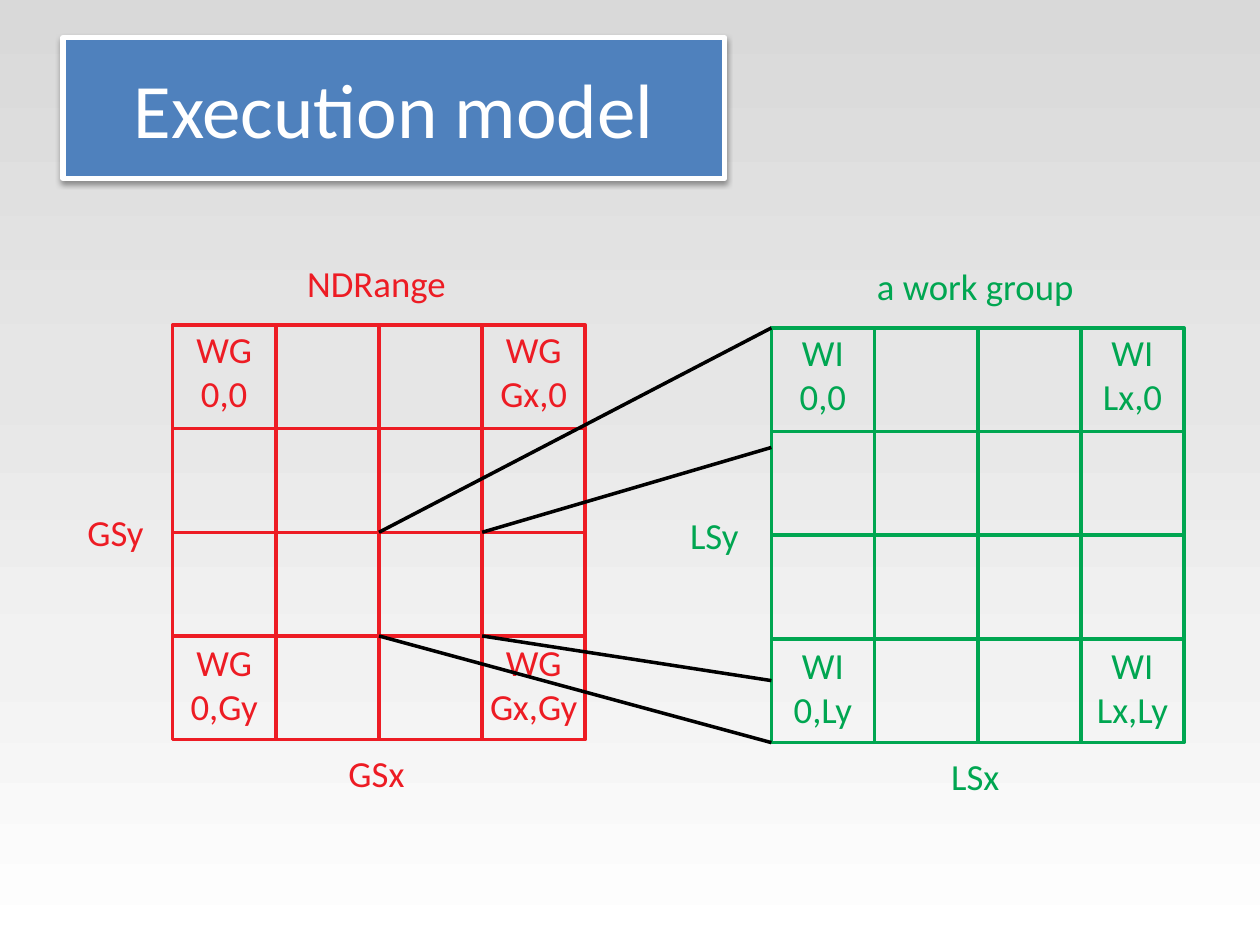
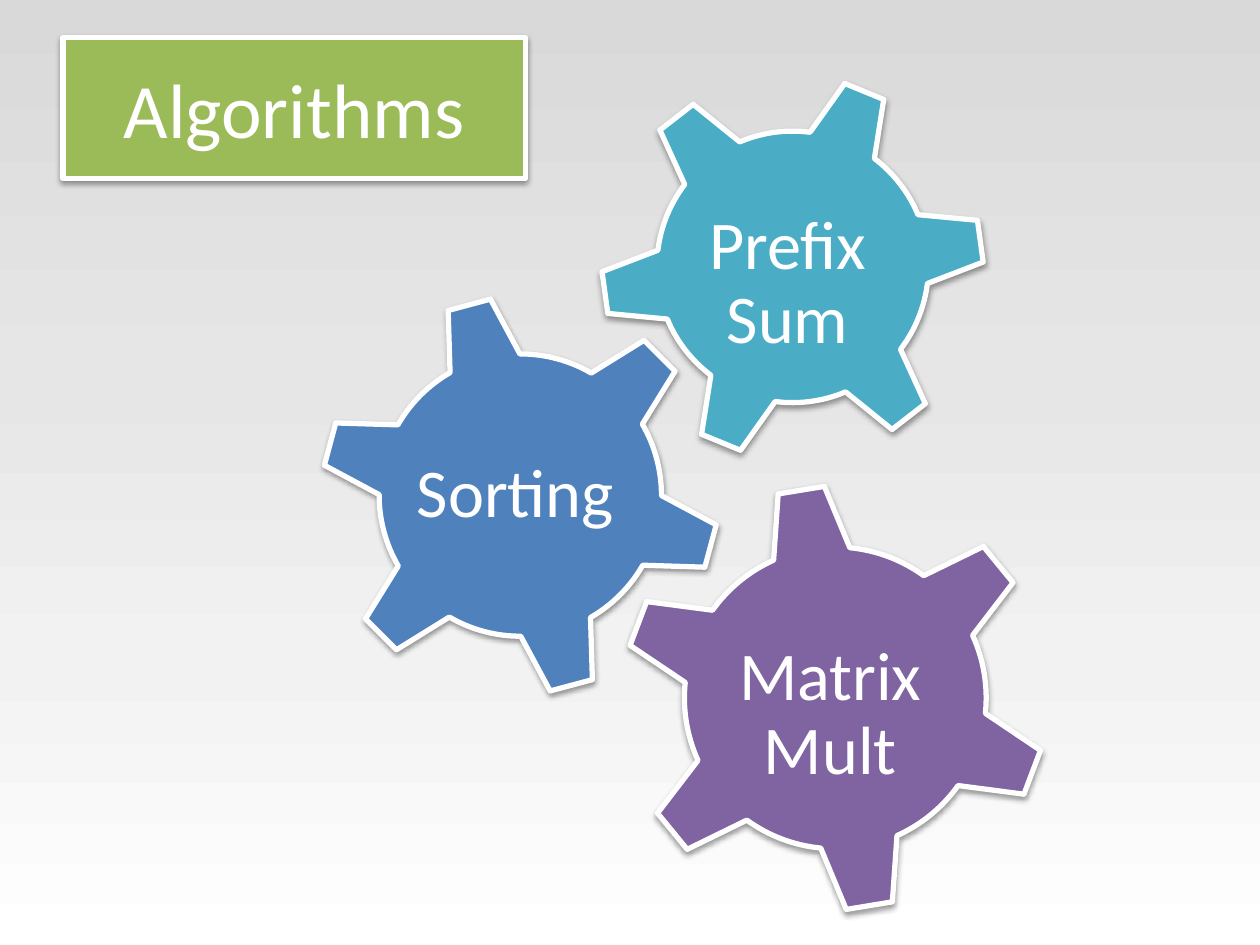
import lxml.etree
import pptx
import pptx.dml.color
import pptx.enum.shapes
import pptx.enum.text
import pptx.oxml.ns
import pptx.util

Cm, Pt = pptx.util.Cm, pptx.util.Pt
Kind = pptx.enum.shapes.MSO_SHAPE
qn = pptx.oxml.ns.qn

WHITE, BLACK = "FFFFFF", "000000"
RED, GREEN = "ED1C24", "00A651"
BLUE, LIME, TEAL, PLUM = "4F81BD", "9BBB59", "4BACC6", "8064A2"
FADE = [(0, "D9D9D9"), (40, "E6E6E6"), (70, "F2F2F2"), (100, WHITE)]

# Grids share these cell sizes, in cm
CELLS, CELL_W, CELL_H = 4, 2.08, 2.09


def tint(code):
    return pptx.dml.color.RGBColor.from_string(code)


def node(parent, tag, **attrs):
    return lxml.etree.SubElement(parent, qn(tag), attrs)


def write(shape, text, size=21, color=WHITE, lead=1.0, wrap=True, inset=0.0,
          anchor=pptx.enum.text.MSO_ANCHOR.MIDDLE):
    """Fill a shape with centred text, one paragraph per line."""
    frame = shape.text_frame
    frame.word_wrap = wrap
    frame.vertical_anchor = anchor
    frame.margin_left = frame.margin_right = Cm(inset)
    frame.margin_top = frame.margin_bottom = Cm(inset)
    for i, line in enumerate(text.split("\n")):
        para = frame.add_paragraph() if i else frame.paragraphs[0]
        para.alignment = pptx.enum.text.PP_ALIGN.CENTER
        para.line_spacing = lead
        run = para.add_run()
        run.text = line
        run.font.name = "Calibri"
        run.font.size = Pt(size)
        run.font.color.rgb = tint(color)


class Deck:
    """Holds the shared style and the slide being drawn."""

    def __init__(self):
        self.file = pptx.Presentation()
        self.file.slide_width = Cm(25.4)
        self.file.slide_height = Cm(19.05)
        self.slide = None
        self.fade()

    def fade(self):
        """Give every slide the grey gradient through the master."""
        master = self.file.slide_master
        fill = master.background.fill
        fill.gradient()
        fill.gradient_angle = 270
        stops = master.element.find(".//" + qn("a:gsLst"))
        for stop in list(stops):
            stops.remove(stop)
        for place, code in FADE:
            stop = node(stops, "a:gs", pos=str(place * 1000))
            node(stop, "a:srgbClr", val=code)

    def page(self, title, width, color):
        self.slide = self.file.slides.add_slide(self.file.slide_layouts[6])
        band = self.block(Kind.RECTANGLE, 1.27, 0.76, width, 2.84, color)
        write(band, title, size=44, inset=0.13)

    def shape(self, kind, x, y, w, h, line, weight):
        item = self.slide.shapes.add_shape(kind, Cm(x), Cm(y), Cm(w), Cm(h))
        item.shadow.inherit = False
        item.line.color.rgb = tint(line)
        item.line.width = Pt(weight)
        return item

    def block(self, kind, x, y, w, h, color):
        """Draw a filled shape with a white rim and a soft shadow below."""
        item = self.shape(kind, x, y, w, h, WHITE, 3)
        item.fill.solid()
        item.fill.fore_color.rgb = tint(color)
        effects = item.element.spPr.find(qn("a:effectLst"))
        shade = node(effects, "a:outerShdw", blurRad="40000", dist="20000",
                     dir="5400000", rotWithShape="0")
        node(node(shade, "a:srgbClr", val=BLACK), "a:alpha", val="38000")
        return item

    def line(self, x1, y1, x2, y2, color=BLACK, weight=0):
        item = self.slide.shapes.add_connector(
            pptx.enum.shapes.MSO_CONNECTOR.STRAIGHT,
            Cm(x1), Cm(y1), Cm(x2), Cm(y2))
        item.line.color.rgb = tint(color)
        item.line.width = Pt(weight)
        node(item.element.spPr, "a:effectLst")

    def label(self, text, x, y, w, h, **fmt):
        box = self.slide.shapes.add_textbox(Cm(x), Cm(y), Cm(w), Cm(h))
        write(box, text, **fmt)

    def grid(self, x, y, color, name, item, mark):
        """Draw a square grid with corner, side and top labels."""
        w, h = CELLS * CELL_W, CELLS * CELL_H
        for i in range(1, CELLS):
            across, down = x + i * CELL_W, y + i * CELL_H
            self.line(across, y, across, y + h, color, 2)
            self.line(x, down, x + w, down, color, 2)
        frame = self.shape(Kind.RECTANGLE, x, y, w, h, color, 2)
        frame.fill.background()

        fmt = dict(color=color, wrap=False,
                   anchor=pptx.enum.text.MSO_ANCHOR.TOP)
        last = CELLS - 1
        for row, down in ((0, "0"), (last, mark + "y")):
            for col, across in ((0, "0"), (last, mark + "x")):
                top = y + row * CELL_H + (0.08 if row else 0.03)
                self.label(f"{item}\n{across},{down}", x + col * CELL_W, top,
                           CELL_W, 2, **fmt)
        self.label(name, x, y - 1.3, w - 0.1, 1.1, **fmt)
        self.label(mark + "Sx", x, y + h + 0.23, w - 0.1, 1.1, **fmt)
        self.label(mark + "Sy", x - 1.95, y + 3.72, 1.6, 1.1, **fmt)

    def gear(self, text, x, y, size, turn, color, drop):
        """Draw a gear centred on x, y, its text lowered by drop."""
        item = self.block(Kind.GEAR_6, x - size / 2, y - size / 2,
                          size, size, color)
        item.rotation = turn
        w, h = size * 0.62, size * 0.56
        self.label(text, x - 0.1 - w / 2, y + drop - h / 2, w, h,
                   size=39, lead=0.9, inset=0.13)


def model(deck):
    deck.page("Execution model", 13.34, BLUE)
    left, top = 3.48, 6.55
    zoom, roof = 15.55, 6.61
    deck.grid(left, top, RED, "NDRange", "WG", "G")
    deck.grid(zoom, roof, GREEN, "a work group", "WI", "L")
    floor = roof + CELLS * CELL_H
    for col, row, end in ((2, 2, roof), (3, 2, 9.02),
                          (3, 3, 13.72), (2, 3, floor)):
        deck.line(left + col * CELL_W, top + row * CELL_H, zoom, end)


def gears(deck):
    deck.page("Algorithms", 9.32, LIME)
    deck.gear("Matrix\nMult", 16.84, 14.07, 8.69, 350.7, PLUM, 0.35)
    deck.gear("Prefix\nSum", 15.98, 5.38, 7.82, 322.2, TEAL, 0.35)
    deck.gear("Sorting", 10.49, 9.98, 8.13, 345, BLUE, 0)


def main():
    deck = Deck()
    model(deck)
    gears(deck)
    deck.file.save("out.pptx")


if __name__ == "__main__":
    main()
